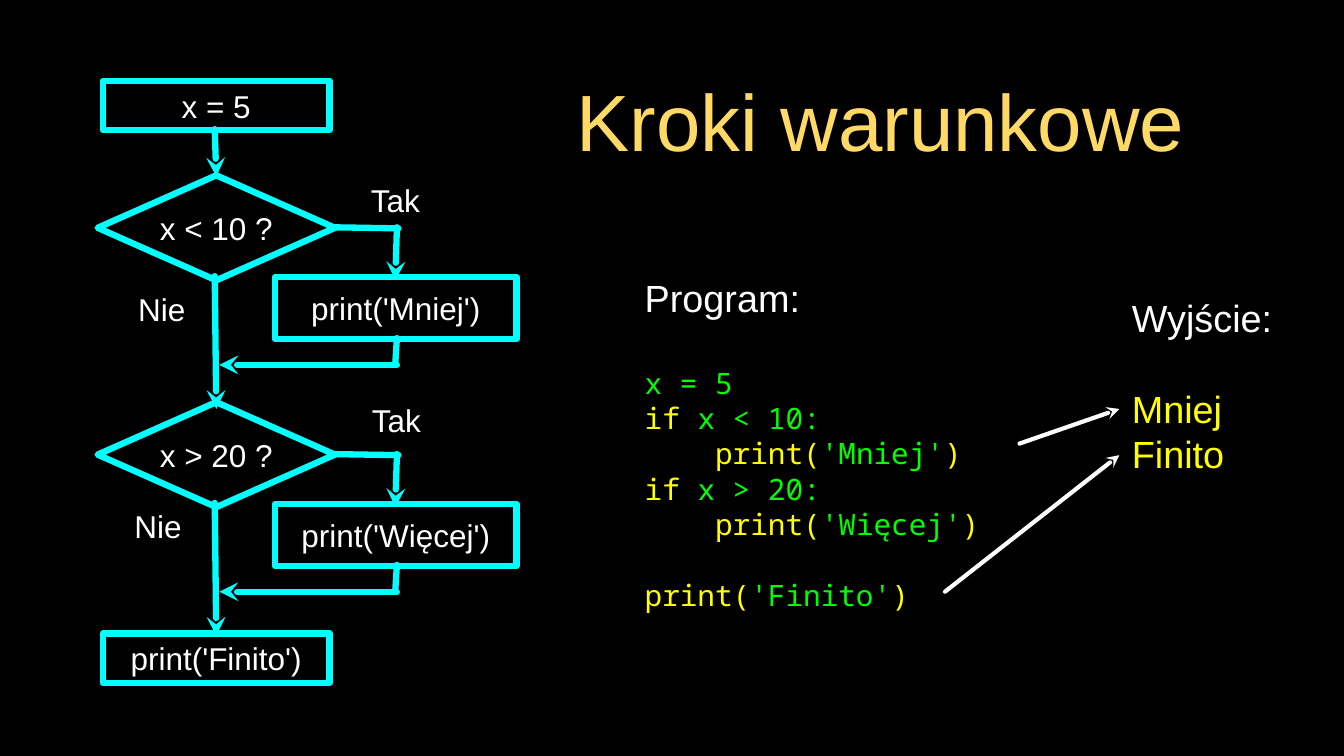
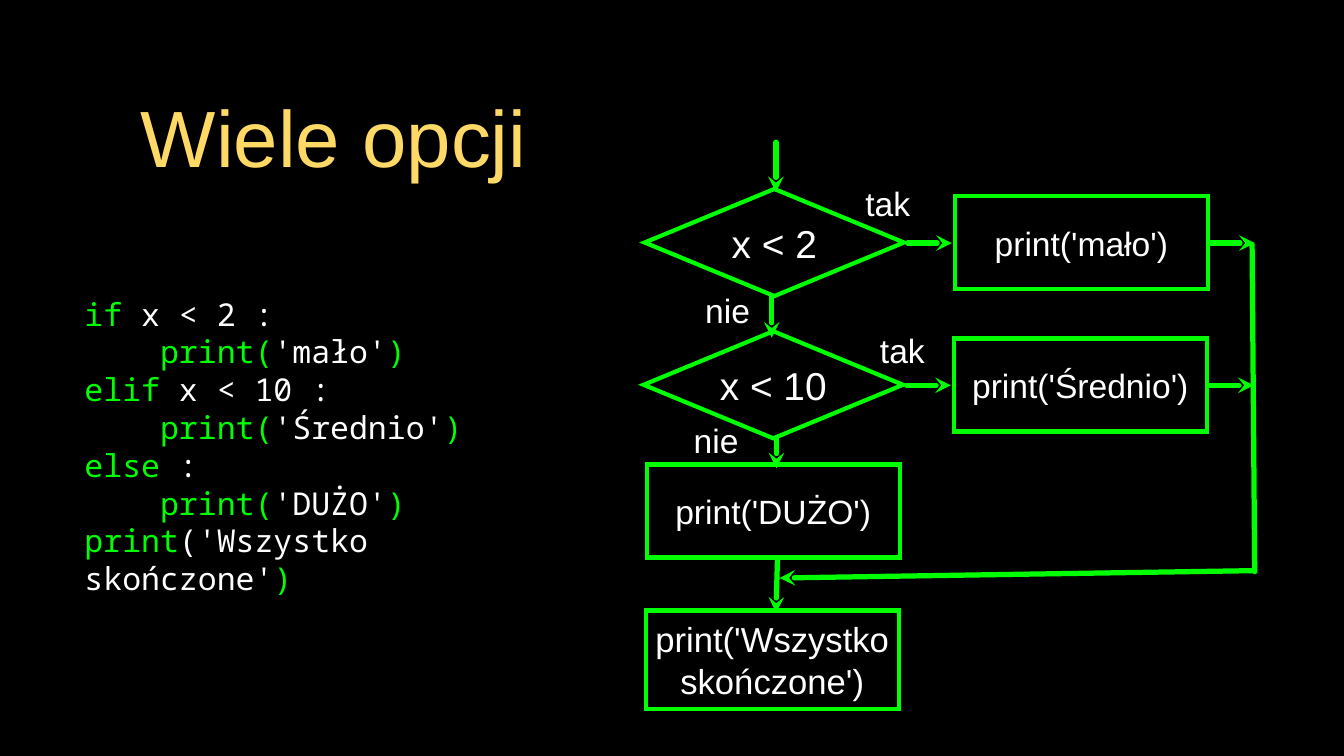
from dataclasses import dataclass
from lxml.etree import SubElement as Sub
from pptx import Presentation
from pptx.dml.color import RGBColor as RGB
from pptx.enum.shapes import MSO_CONNECTOR as LINK, MSO_SHAPE as FORM
from pptx.enum.text import MSO_ANCHOR as ANCHOR, PP_ALIGN as ALIGN
from pptx.oxml.ns import qn
from pptx.util import Pt


@dataclass(frozen=True)
class Theme:
    black: str = "000000"
    white: str = "FFFFFF"
    gold: str = "FFD966"
    cyan: str = "00FFFF"
    green: str = "00FF00"
    yellow: str = "FFFF00"
    sans: str = "Arial"
    mono: str = "Noto Sans Mono"
    title: int = 76
    head: int = 36
    code: int = 28
    script: int = 30
    step: int = 30
    ask: int = 37
    act: int = 32
    last: int = 33
    lead: float = 1.2


@dataclass(frozen=True)
class Pen:
    color: str
    edge: int
    wire: int
    join: str = "round"


T = Theme()
CYAN = Pen(T.cyan, 6, 6)
GREEN = Pen(T.green, 4, 5, "miter")
WHITE = Pen(T.white, 4, 4)


def style(run, size, color, face=T.sans):
    font = run.font
    font.size, font.name = Pt(size), face
    font.color.rgb = RGB.from_string(color)


def stroke(line, color, width):
    line.color.rgb = RGB.from_string(color)
    line.width = Pt(width)
    return line._get_or_add_ln()


def fit(frame, inset=0):
    frame.word_wrap = True
    frame.vertical_anchor = ANCHOR.MIDDLE
    frame.margin_left = frame.margin_right = Pt(inset)
    frame.margin_top = frame.margin_bottom = Pt(inset)


def center(frame, text, size, color=T.white):
    frame.text = text
    para = frame.paragraphs[0]
    para.alignment = ALIGN.CENTER
    style(para.runs[0], size, color)


def page(deck, text, box):
    slide = deck.slides.add_slide(deck.slide_layouts[5])
    title = slide.shapes.title
    title.left, title.top, title.width, title.height = map(Pt, box)
    fit(title.text_frame, 3)
    center(title.text_frame, text, T.title, T.gold)
    return slide


class Board:
    def __init__(self, slide, x, y, pen):
        self.slide, self.x, self.y, self.pen = slide, x, y, pen

    def shift(self, x, y):
        return Board(self.slide, self.x + x, self.y + y, self.pen)

    def place(self, x, y, w, h):
        return Pt(self.x + x), Pt(self.y + y), Pt(w), Pt(h)

    def node(self, box, text, size, form=FORM.RECTANGLE):
        shape = self.slide.shapes.add_shape(form, *self.place(*box))
        shape.shadow.inherit = False
        shape.fill.background()
        line = stroke(shape.line, self.pen.color, self.pen.edge)
        join = Sub(line, qn(f"a:{self.pen.join}"))
        if self.pen.join == "miter":
            join.set("lim", "800000")
        fit(shape.text_frame)
        center(shape.text_frame, text, size)

    def wire(self, x1, y1, x2, y2, tip=True):
        ends = self.place(x1, y1, self.x + x2, self.y + y2)
        link = self.slide.shapes.add_connector(LINK.STRAIGHT, *ends)
        line = stroke(link.line, self.pen.color, self.pen.wire)
        line.set("cap", "rnd")
        Sub(line, qn("a:round"))
        if tip:
            Sub(line, qn("a:tailEnd"), type="stealth")
        Sub(link._element.spPr, qn("a:effectLst"))

    def frame(self, box):
        frame = self.slide.shapes.add_textbox(*self.place(*box)).text_frame
        fit(frame)
        return frame

    def label(self, box, text, size):
        center(self.frame(box), text, size)


def write(frame, rows):
    for i, (text, size, face, colors, gap) in enumerate(rows):
        para = frame.paragraphs[0] if i == 0 else frame.add_paragraph()
        para.line_spacing = Pt(round(size * T.lead, 1))
        if gap:
            para.space_before = Pt(round(gap * T.lead, 1))
        for j, bit in enumerate(text.split("|")):
            if bit:
                run = para.add_run()
                run.text = bit
                style(run, size, colors[j % 2], face)


def step(board, ask, act, yes, no):
    board.node((0, 0, 226, 100), ask, T.step, FORM.DIAMOND)
    board.wire(111.5, 96, 113, 222.5)
    board.node((169, 97, 230, 59), act, T.step)
    board.wire(225.5, 49.5, 286.5, 50.5, False)
    board.wire(285, 49.5, 283.5, 100)
    board.wire(285, 155, 283.5, 179, False)
    board.wire(285, 180.5, 116, 180.5)
    board.label((*yes, 57, 49), "Tak", T.step)
    board.label((*no, 57, 49), "Nie", T.step)


def steps(board):
    board.node((5, 0, 216, 47), "x = 5", T.step)
    board.wire(111.5, 46, 113, 91)
    step(board.shift(0, 90), "x < 10 ?", "print('Mniej')", (255, -1), (32.5, 103))
    step(board.shift(0, 306), "x > 20 ?", "print('Więcej')", (256, -8), (29, 93.5))
    board.node((5, 526.5, 216, 47), "print('Finito')", T.step)


def listing(board):
    tint = (T.yellow, T.green)
    code = [
        ("|x = 5", T.head),
        ("if |x < 10:", 0),
        ("    print(|'Mniej'|)", 0),
        ("if |x > 20:", 0),
        ("    print(|'Więcej'|)", 0),
        ("print(|'Finito'|)", T.code),
    ]
    rows = [("Program:", T.head, T.sans, (T.white,), 0)]
    rows += [(text, T.code, T.mono, tint, gap) for text, gap in code]
    write(board.frame((0, 0, 357, 392)), rows)
    out = [("Wyjście:", T.white, 0), ("Mniej", T.yellow, T.head), ("Finito", T.yellow, 0)]
    rows = [(text, T.head, T.sans, (color,), gap) for text, color, gap in out]
    write(board.frame((464, 55, 138, 172)), rows)
    board.wire(357, 196.5, 452, 163.5)
    board.wire(286, 337.5, 452, 207.5)


def choice(board, ask, act, yes, no, down):
    board.node((0, 0, 247, 102), ask, T.ask, FORM.DIAMOND)
    board.wire(250.5, 51.5, 292.5, 51.5)
    board.node((295.5, 7, 241, 88.5), act, T.act)
    board.wire(539, 51.5, 581, 51.5)
    board.label((*yes, 55, 39), "tak", T.act)
    board.label((*no, 52, 39), "nie", T.act)
    x, drop = down
    board.wire(x, 101.5, x, 101.5 + drop)


def choices(board):
    board.wire(126, 0, 126, 47.5)
    choice(board.shift(1, 44.5), "x < 2", "print('mało')", (204, -6.5), (53, 96), (121, 40))
    choice(board.shift(0, 180), "x < 10", "print('Średnio')", (219, -2), (43, 84), (126.5, 29))
    board.node((3, 307, 241, 88.5), "print('DUŻO')", T.act)
    board.wire(127.5, 396, 126, 448)
    board.node((2, 446, 241, 94), "print('Wszystko skończone')", T.last)
    board.wire(579.5, 97.5, 582, 409, False)
    board.wire(580, 408, 129.5, 415)


def script(board):
    code = [
        "if| x < 2 :",
        "    print(|'mało'|)",
        "elif| x < 10 :",
        "    print(|'Średnio'|)",
        "else| :",
        "    print(|'DUŻO'|)",
        "print|('Wszystko skończone'|)",
    ]
    rows = [(text, T.script, T.mono, (T.green, T.white), 0) for text in code]
    write(board.frame((0, 0, 402, 315)), rows)


def main():
    deck = Presentation()
    deck.slide_width, deck.slide_height = Pt(1280), Pt(720)
    fill = deck.slide_master.background.fill
    fill.solid()
    fill.fore_color.rgb = RGB.from_string(T.black)

    slide = page(deck, "Kroki warunkowe", (461, 60.5, 755, 107))
    steps(Board(slide, 93, 77, CYAN))
    listing(Board(slide, 614, 226, WHITE))

    slide = page(deck, "Wiele opcji", (91, 59, 453.5, 141))
    script(Board(slide, 80.5, 267, GREEN))
    choices(Board(slide, 613, 135.5, GREEN))

    deck.save("out.pptx")


if __name__ == "__main__":
    main()
